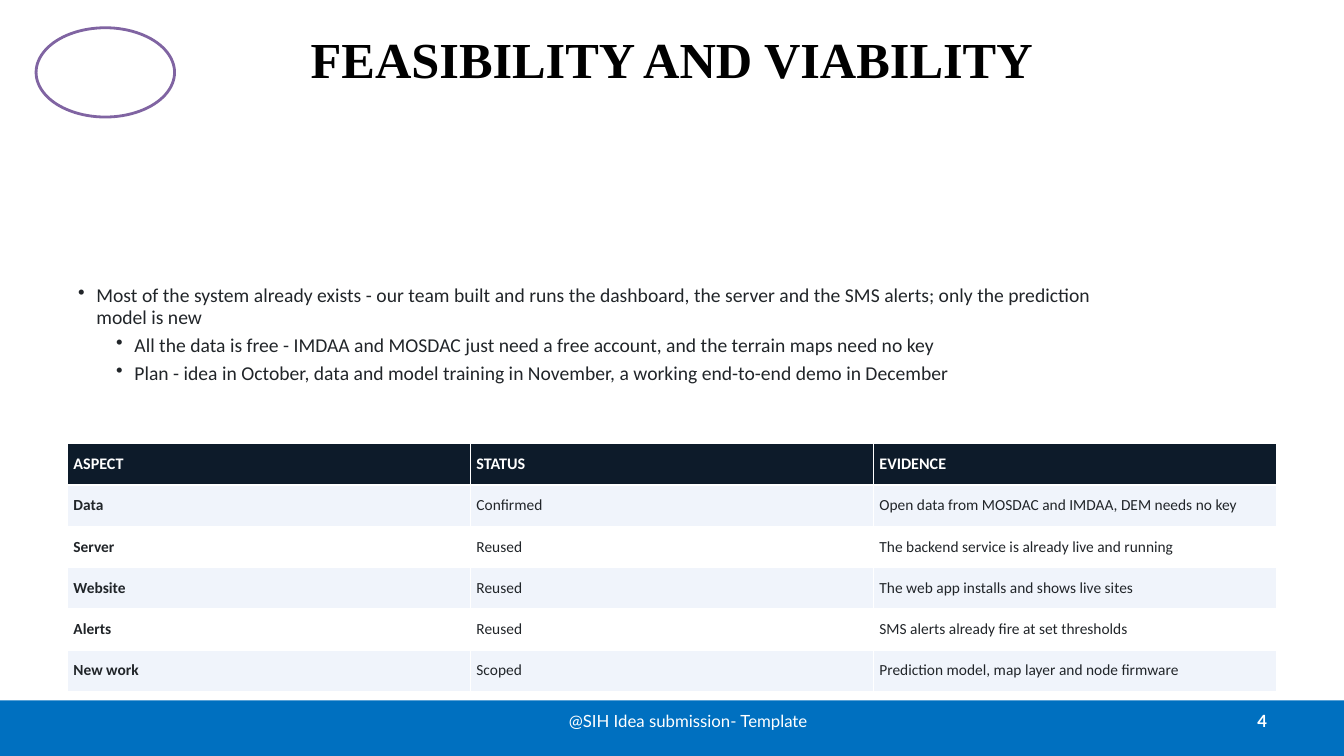
"""Build the feasibility and viability slide."""
from lxml.etree import SubElement
from pptx import Presentation
from pptx.dml.color import RGBColor
from pptx.enum.shapes import MSO_SHAPE
from pptx.enum.text import MSO_ANCHOR, PP_ALIGN
from pptx.oxml.ns import qn
from pptx.util import Cm, Pt

TITLE = "FEASIBILITY AND VIABILITY"
POINTS = [
    (0.48, "Most of the system already exists - our team built and runs the dashboard, "
           "the server and the SMS alerts; only the prediction model is new"),
    (1.44, "All the data is free - IMDAA and MOSDAC just need a free account, "
           "and the terrain maps need no key"),
    (1.44, "Plan - idea in October, data and model training in November, "
           "a working end-to-end demo in December"),
]
ASPECTS = [
    ("ASPECT", "STATUS", "EVIDENCE"),
    ("Data", "Confirmed", "Open data from MOSDAC and IMDAA, DEM needs no key"),
    ("Server", "Reused", "The backend service is already live and running"),
    ("Website", "Reused", "The web app installs and shows live sites"),
    ("Alerts", "Reused", "SMS alerts already fire at set thresholds"),
    ("New work", "Scoped", "Prediction model, map layer and node firmware"),
]
FOOTER = "@SIH Idea submission- Template"
PAGE_NUMBER = "4"

WHITE = RGBColor(0xFF, 0xFF, 0xFF)
BLACK = RGBColor(0x00, 0x00, 0x00)
INK = RGBColor(0x21, 0x25, 0x29)
NAVY = RGBColor(0x0D, 0x1B, 0x2A)
PALE_BLUE = RGBColor(0xF0, 0xF4, 0xFB)
FOOTER_BLUE = RGBColor(0x00, 0x70, 0xC0)
PURPLE = RGBColor(0x80, 0x64, 0xA2)

SLIDE_WIDTH, SLIDE_HEIGHT = 33.87, 19.05
MARGIN = 1.7
CONTENT_WIDTH = SLIDE_WIDTH - 2 * MARGIN
FOOTER_TOP = 17.65
ROW_HEIGHT = 1.04
BULLET_GAP = 0.46


def format_text(para, size, font, color, bold=False):
    """Format every run of a paragraph."""
    for span in para.runs:
        span.font.size = Pt(size)
        span.font.name = font
        span.font.color.rgb = color
        span.font.bold = bold


def add_shape(page, kind, left, top, width, height, fill):
    """Add a flat filled shape without an outline."""
    shape = page.shapes.add_shape(kind, Cm(left), Cm(top), Cm(width), Cm(height))
    shape.shadow.inherit = False
    shape.fill.solid()
    shape.fill.fore_color.rgb = fill
    shape.line.fill.background()
    return shape


def add_title(page):
    """Place and format the title placeholder."""
    title = page.shapes.title
    title.left, title.top = Cm(MARGIN), Cm(-0.13)
    title.width, title.height = Cm(CONTENT_WIDTH), Cm(3.18)
    title.text_frame.text = TITLE
    title.text_frame.vertical_anchor = MSO_ANCHOR.MIDDLE
    para = title.text_frame.paragraphs[0]
    para.alignment = PP_ALIGN.CENTER
    format_text(para, 36, "Times New Roman", BLACK, True)


def add_points(page):
    """Add the bulleted points."""
    box = page.shapes.add_textbox(Cm(MARGIN), Cm(7.04), Cm(26.06), Cm(3.84))
    frame = box.text_frame
    frame.word_wrap = True
    frame.text = "\n".join(text for _, text in POINTS)
    for para, (indent, _) in zip(frame.paragraphs, POINTS):
        properties = para._p.get_or_add_pPr()
        properties.set("marL", str(Cm(indent)))
        properties.set("indent", str(-Cm(BULLET_GAP)))
        SubElement(properties, qn("a:buChar"), char="•")
        para.alignment = PP_ALIGN.JUSTIFY
        para.line_spacing = 0.95
        para.space_after = Pt(4)
        format_text(para, 14, "Calibri", INK)


def add_aspect_table(page):
    """Add the table of aspects with alternating row fills."""
    row_count, column_count = len(ASPECTS), len(ASPECTS[0])
    table = page.shapes.add_table(
        row_count, column_count, Cm(MARGIN), Cm(11.18),
        Cm(CONTENT_WIDTH), Cm(ROW_HEIGHT * row_count)).table
    table.horz_banding = False
    for row, values in enumerate(ASPECTS):
        header = row == 0
        fill = NAVY if header else PALE_BLUE if row % 2 else WHITE
        for column, value in enumerate(values):
            cell = table.cell(row, column)
            cell.text_frame.text = value
            cell.vertical_anchor = MSO_ANCHOR.MIDDLE
            cell.margin_left = cell.margin_right = Cm(0.15)
            cell.margin_top = cell.margin_bottom = Cm(0.05)
            cell.fill.solid()
            cell.fill.fore_color.rgb = fill
            format_text(cell.text_frame.paragraphs[0], 11.5 if header else 11, "Calibri",
                        WHITE if header else INK, header or column == 0)


def add_footer_text(page, text, left, width, alignment, bold):
    """Add one line of text on the footer bar."""
    box = page.shapes.add_textbox(Cm(left), Cm(FOOTER_TOP), Cm(width), Cm(1.02))
    frame = box.text_frame
    frame.word_wrap = True
    frame.vertical_anchor = MSO_ANCHOR.MIDDLE
    frame.text = text
    frame.paragraphs[0].alignment = alignment
    format_text(frame.paragraphs[0], 12, "Lato", WHITE, bold)


def main():
    """Build and save the deck."""
    deck = Presentation()
    deck.slide_width, deck.slide_height = Cm(SLIDE_WIDTH), Cm(SLIDE_HEIGHT)
    page = deck.slides.add_slide(deck.slide_layouts[5])
    add_shape(page, MSO_SHAPE.RECTANGLE, 0, FOOTER_TOP, SLIDE_WIDTH,
              SLIDE_HEIGHT - FOOTER_TOP, FOOTER_BLUE)
    add_title(page)
    add_points(page)
    add_footer_text(page, PAGE_NUMBER, 24.28, 7.9, PP_ALIGN.RIGHT, True)
    add_footer_text(page, FOOTER, 12.9, 8.89, PP_ALIGN.CENTER, False)
    badge = add_shape(page, MSO_SHAPE.OVAL, 0.91, 0.7, 3.49, 2.25, WHITE)
    badge.line.color.rgb = PURPLE
    badge.line.width = Pt(2)
    add_aspect_table(page)
    deck.save("out.pptx")


if __name__ == "__main__":
    main()
